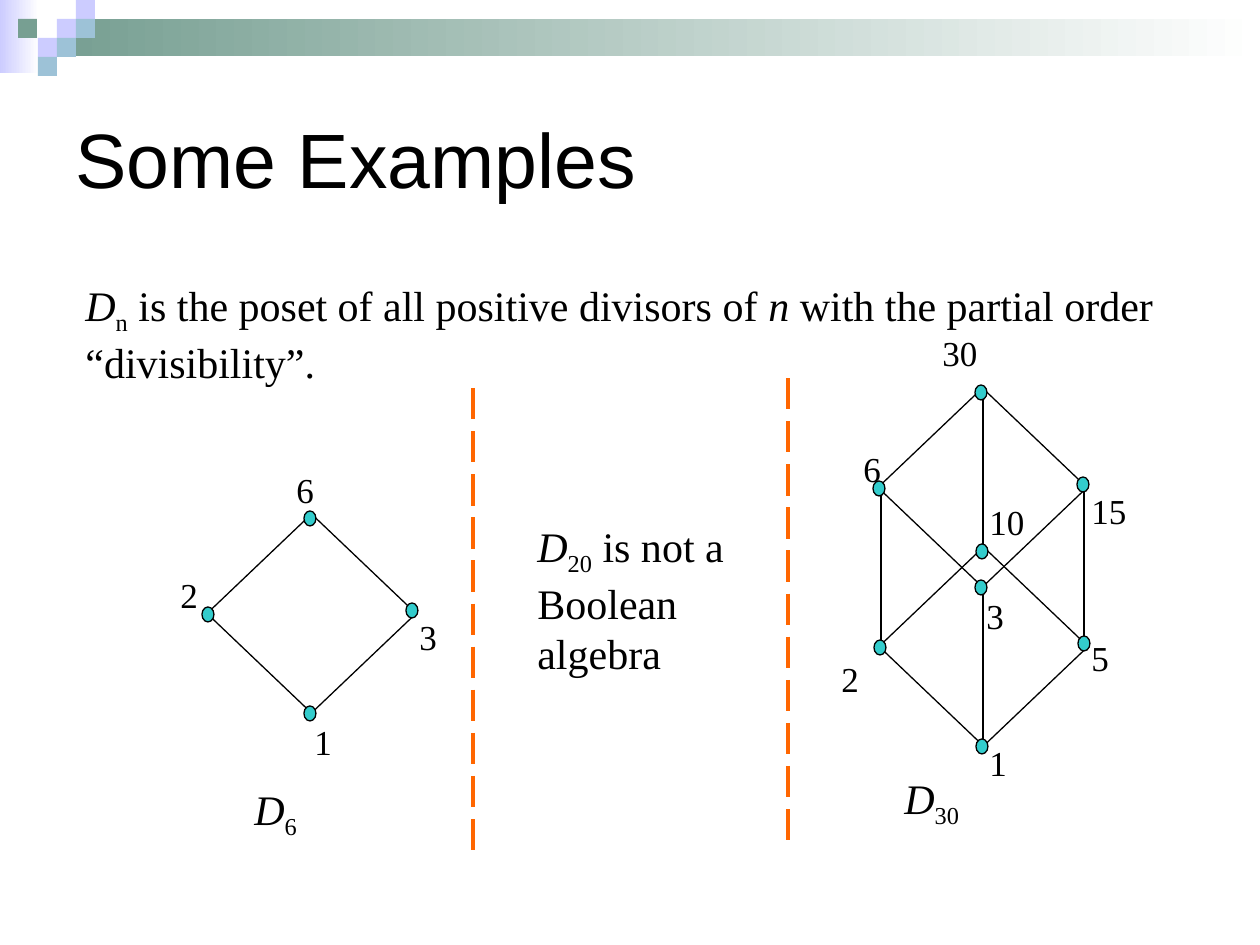
import dataclasses

import lxml.etree
import pptx
import pptx.dml.color
import pptx.enum.dml
import pptx.enum.shapes
import pptx.enum.text
import pptx.oxml.ns
import pptx.util

SCALE = 914400 / 126
SHAPE = pptx.enum.shapes.MSO_SHAPE


@dataclasses.dataclass(frozen=True)
class Theme:
    ink: str = "000000"
    paper: str = "FFFFFF"
    node: str = "33CCCC"
    divider: str = "FF6600"
    lilac: str = "CCCCFF"
    sage: str = "779F92"
    sky: str = "9DC2D7"
    title_font: str = "Arial"
    body_font: str = "Times New Roman"
    title_size: int = 44
    body_size: int = 24
    label_size: int = 20
    thin: float = 0.74
    thick: float = 2.24


def emu(*pixels):
    return [round(value * SCALE) for value in pixels]


def rgb(code):
    return pptx.dml.color.RGBColor.from_string(code)


def apply(target, values):
    for key, value in values.items():
        setattr(target, key, value)


class Board:
    def __init__(self, slide, theme):
        self.slide = slide
        self.theme = theme

    def group(self):
        return self.slide.shapes.add_group_shape().shapes

    def shape(self, home, kind, box, fill=None, outline=None, fade=None):
        item = home.add_shape(kind, *emu(*box))
        item.shadow.inherit = False
        if fade:
            item.fill.gradient()
            item.fill.gradient_angle = 0
            for stop, color in zip(item.fill.gradient_stops, fade):
                stop.color.rgb = rgb(color)
        elif fill:
            item.fill.solid()
            item.fill.fore_color.rgb = rgb(fill)
        else:
            item.fill.background()
        if outline:
            item.line.color.rgb = rgb(outline)
            item.line.width = pptx.util.Pt(self.theme.thin)
        else:
            item.line.fill.background()

    def line(self, start, end, color, width, dash=None):
        item = self.slide.shapes.add_connector(
            pptx.enum.shapes.MSO_CONNECTOR.STRAIGHT, *emu(*start, *end))
        item.line.color.rgb = rgb(color)
        apply(item.line, {"width": pptx.util.Pt(width), "dash_style": dash})
        lxml.etree.SubElement(item._element.spPr, pptx.oxml.ns.qn("a:effectLst"))

    def add_runs(self, paragraph, runs, font, size):
        for text, style in runs:
            run = paragraph.add_run()
            run.text = text
            apply(run.font, {"name": font, "size": pptx.util.Pt(size),
                             "italic": style == "italic"})
            run.font.color.rgb = rgb(self.theme.ink)
            if style == "sub":
                run._r.get_or_add_rPr().set("baseline", "-25000")

    def title(self, text, box):
        holder = self.slide.shapes.title
        apply(holder, dict(zip(("left", "top", "width", "height"), emu(*box))))
        apply(holder.text_frame, {"word_wrap": True,
                                  "vertical_anchor": pptx.enum.text.MSO_ANCHOR.MIDDLE})
        paragraph = holder.text_frame.paragraphs[0]
        paragraph.alignment = pptx.enum.text.PP_ALIGN.LEFT
        self.add_runs(paragraph, [(text, None)], self.theme.title_font, self.theme.title_size)

    def text(self, runs, box, size):
        frame = self.slide.shapes.add_textbox(*emu(*box)).text_frame
        apply(frame, {"word_wrap": True,
                      "auto_size": pptx.enum.text.MSO_AUTO_SIZE.SHAPE_TO_FIT_TEXT})
        paragraph = frame.paragraphs[0]
        paragraph.space_before = pptx.util.Pt(size * 0.625)
        self.add_runs(paragraph, runs, self.theme.body_font, size)

    def lattice(self, left, top):
        home = self.group()
        self.shape(home, SHAPE.DIAMOND, (left, top, 209, 199), outline=self.theme.ink)
        for dx, dy in ((97, -3), (-5, 93), (199, 89), (97, 192)):
            self.shape(home, SHAPE.OVAL, (left + dx, top + dy, 12, 15),
                       fill=self.theme.node, outline=self.theme.ink)

    def banner(self):
        theme = self.theme
        home = self.group()
        self.shape(home, SHAPE.RECTANGLE, (0, 0, 39, 73), fade=(theme.lilac, theme.paper))
        self.shape(home, SHAPE.RECTANGLE, (57, 19, 1203, 37), fade=(theme.sage, theme.paper))
        tiles = {theme.lilac: ((57, 19), (76, 0), (38, 38)),
                 theme.sky: ((76, 19), (57, 38), (38, 57)),
                 theme.sage: ((18, 19),)}
        for color, corners in tiles.items():
            for left, top in corners:
                self.shape(home, SHAPE.RECTANGLE, (left, top, 19, 19), fill=color)


theme = Theme()
deck = pptx.Presentation()
apply(deck, {"slide_width": pptx.util.Inches(10), "slide_height": pptx.util.Inches(7.5)})
board = Board(deck.slides.add_slide(deck.slide_layouts[5]), theme)

board.banner()
board.title("Some Examples ", (63, 63, 1134, 189))
board.text([("D", "italic"), ("n", "sub"),
            (" is the poset of all positive divisors of ", None), ("n", "italic"),
            (" with the partial order “divisibility”.", None)],
           (73, 273, 1103, 121), theme.body_size)

cube_edges = (((983, 393), (983, 553)), ((983, 588), (983, 750)),
              ((1084, 485), (1084, 643)), ((881, 491), (881, 641)))
for start, end in cube_edges:
    board.line(start, end, theme.ink, theme.thin)

for corner in ((207, 514), (879, 547), (878, 388)):
    board.lattice(*corner)

divisors = (("6", 284, 462, 227), ("2", 168, 567, 227), ("3", 407, 609, 87),
            ("1", 302, 714, 87), ("30", 930, 325, 227), ("6", 851, 441, 227),
            ("15", 1079, 483, 87), ("10", 977, 494, 105), ("3", 974, 588, 87),
            ("2", 829, 651, 84), ("5", 1079, 630, 87), ("1", 977, 735, 95))
for divisor, left, top, width in divisors:
    board.text([(divisor, None)], (left, top, width, 55), theme.label_size)

captions = (("6", "", (242, 777, 158, 71)), ("30", "", (892, 766, 158, 71)),
            ("20", " is not a Boolean algebra", (525, 514, 273, 171)))
for order, remark, box in captions:
    runs = [("D", "italic"), (order, "sub")] + ([(remark, None)] if remark else [])
    board.text(runs, box, theme.body_size)

for x, top in ((473, 388), (788, 378)):
    board.line((x, top), (x, top + 462), theme.divider, theme.thick,
               pptx.enum.dml.MSO_LINE.LONG_DASH)

deck.save("out.pptx")
